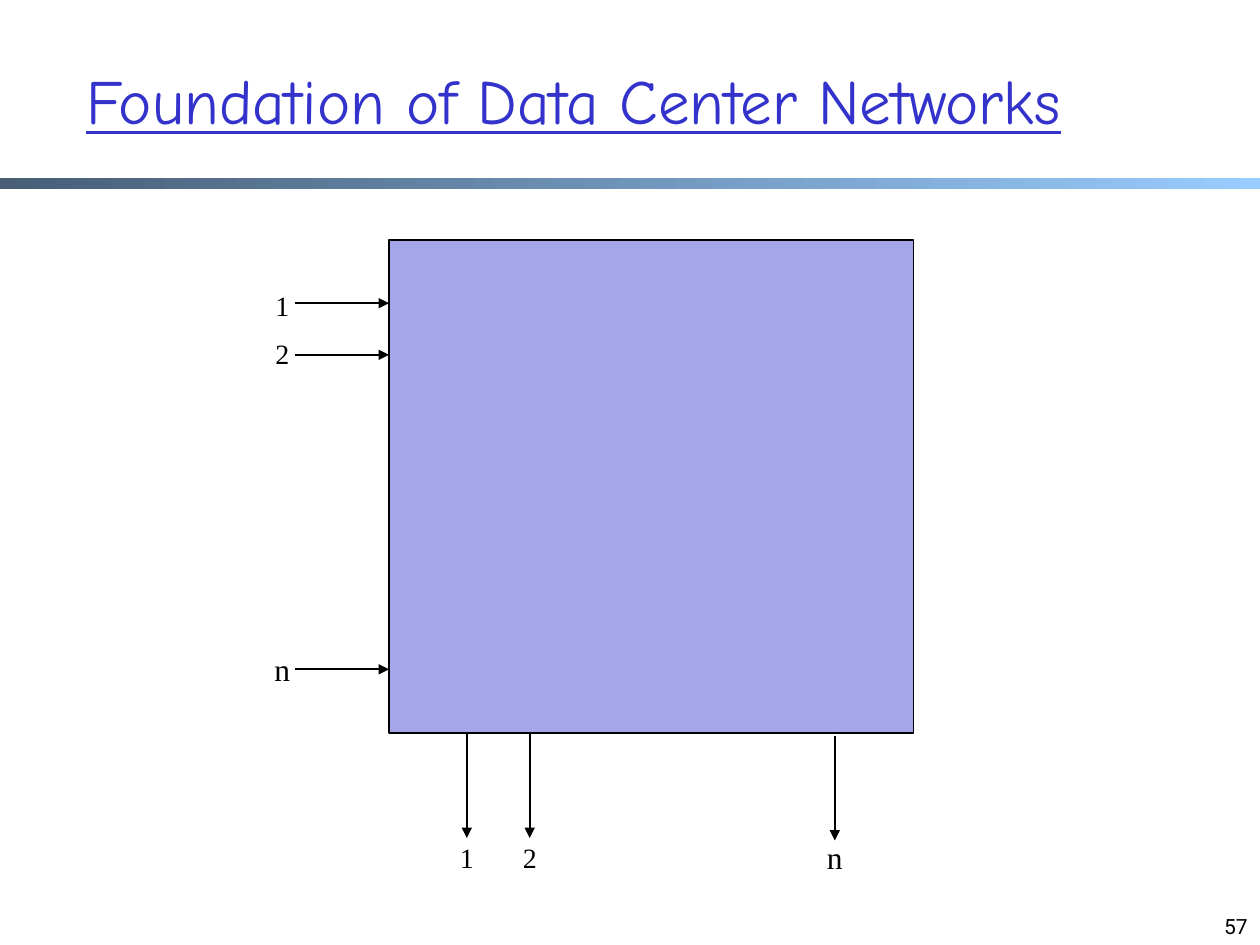
import lxml.etree
import pptx
import pptx.dml.color
import pptx.enum.shapes
import pptx.enum.text
import pptx.oxml.ns
import pptx.util

Pt = pptx.util.Pt
RGB = pptx.dml.color.RGBColor
ALIGN = pptx.enum.text.PP_ALIGN
ANCHOR = pptx.enum.text.MSO_ANCHOR
SIZE = pptx.enum.text.MSO_AUTO_SIZE
SHAPE = pptx.enum.shapes.MSO_SHAPE
LINE = pptx.enum.shapes.MSO_CONNECTOR
qn = pptx.oxml.ns.qn

BLACK = RGB(0x00, 0x00, 0x00)
BLUE = RGB(0x33, 0x33, 0xCC)
LILAC = RGB(0xA5, 0xA5, 0xE9)
SLATE = RGB(0x47, 0x5E, 0x76)
SKY = RGB(0x99, 0xCC, 0xFF)

WIDE, HIGH = 720.72, 540.72


def write(shape, text, face, size, color, align, anchor):
    """Put one styled line of text in a shape."""
    frame = shape.text_frame
    frame.text = text
    frame.vertical_anchor = anchor
    para = frame.paragraphs[0]
    para.alignment = align
    font = para.runs[0].font
    font.name, font.size, font.color.rgb = face, Pt(size), color
    return font


def block(slide, left, top, width, height):
    """Add a plain rectangle without a shadow."""
    shape = slide.shapes.add_shape(
        SHAPE.RECTANGLE, Pt(left), Pt(top), Pt(width), Pt(height))
    shape.shadow.inherit = False
    return shape


def arrow(slide, x, y, dx, dy):
    """Draw a thin black arrow from a point along an offset."""
    line = slide.shapes.add_connector(
        LINE.STRAIGHT, Pt(x), Pt(y), Pt(x + dx), Pt(y + dy))
    line.line.color.rgb = BLACK
    line.line.width = Pt(1)
    props = line.element.spPr
    lxml.etree.SubElement(props.find(qn("a:ln")), qn("a:tailEnd"), type="triangle")
    lxml.etree.SubElement(props, qn("a:effectLst"))


def label(slide, text, x, y):
    """Centre a port label on a point."""
    size = 18 if text == "n" else 16
    width, height = size + 6, size * 1.2 + 7.2
    box = slide.shapes.add_textbox(
        Pt(x - width / 2), Pt(y - height / 2), Pt(width), Pt(height))
    box.text_frame.word_wrap = False
    box.text_frame.auto_size = SIZE.SHAPE_TO_FIT_TEXT
    write(box, text, "Times New Roman", size, BLACK, ALIGN.CENTER, ANCHOR.TOP)


def header(slide, left, top, width, height):
    """Place the title with the gradient bar under it."""
    bar = block(slide, 0, top + height, WIDE, 6)
    bar.line.fill.background()
    bar.fill.gradient()
    bar.fill.gradient_angle = 0
    for stop, color in zip(bar.fill.gradient_stops, (SLATE, SKY)):
        stop.color.rgb = color
    title = slide.shapes.title
    title.left, title.top = Pt(left), Pt(top)
    title.width, title.height = Pt(width), Pt(height)
    title.text_frame.auto_size = SIZE.NONE
    font = write(title, "Foundation of Data Center Networks", "Comic Neue",
                 36, BLUE, ALIGN.LEFT, ANCHOR.MIDDLE)
    font.underline = True


def fabric(slide, left, top, width, height):
    """Draw the switch box with its input and output ports."""
    box = block(slide, left, top, width, height)
    box.fill.solid()
    box.fill.fore_color.rgb = LILAC
    box.line.color.rgb = BLACK
    box.line.width = Pt(1)
    for text, down, shift in (("1", 36, 1), ("2", 65.5, -1), ("n", 245.5, 0)):
        arrow(slide, left - 54, top + down, 54, 0)
        label(slide, text, left - 61, top + down + shift)
    base = top + height
    for text, across, drop in (("1", 44.5, 0), ("2", 80.5, 0), ("n", 255, 1.4)):
        arrow(slide, left + across, base + drop, 0, 60)
        label(slide, text, left + across, base + 71)


def footer(slide, left, top, width, height):
    """Place the page number at the bottom right."""
    box = slide.shapes.add_textbox(Pt(left), Pt(top), Pt(width), Pt(height))
    box.text_frame.word_wrap = True
    write(box, "57", "Roboto", 12, BLACK, ALIGN.RIGHT, ANCHOR.BOTTOM)


def main():
    """Build and save the slide."""
    deck = pptx.Presentation()
    deck.slide_width, deck.slide_height = Pt(WIDE), Pt(HIGH)
    slide = deck.slides.add_slide(deck.slide_layouts[5])
    header(slide, 42, 12, 667, 90)
    fabric(slide, 222.5, 137.5, 300, 282)
    footer(slide, WIDE - 168, HIGH - 36, 168, 36)
    deck.save("out.pptx")


if __name__ == "__main__":
    main()
